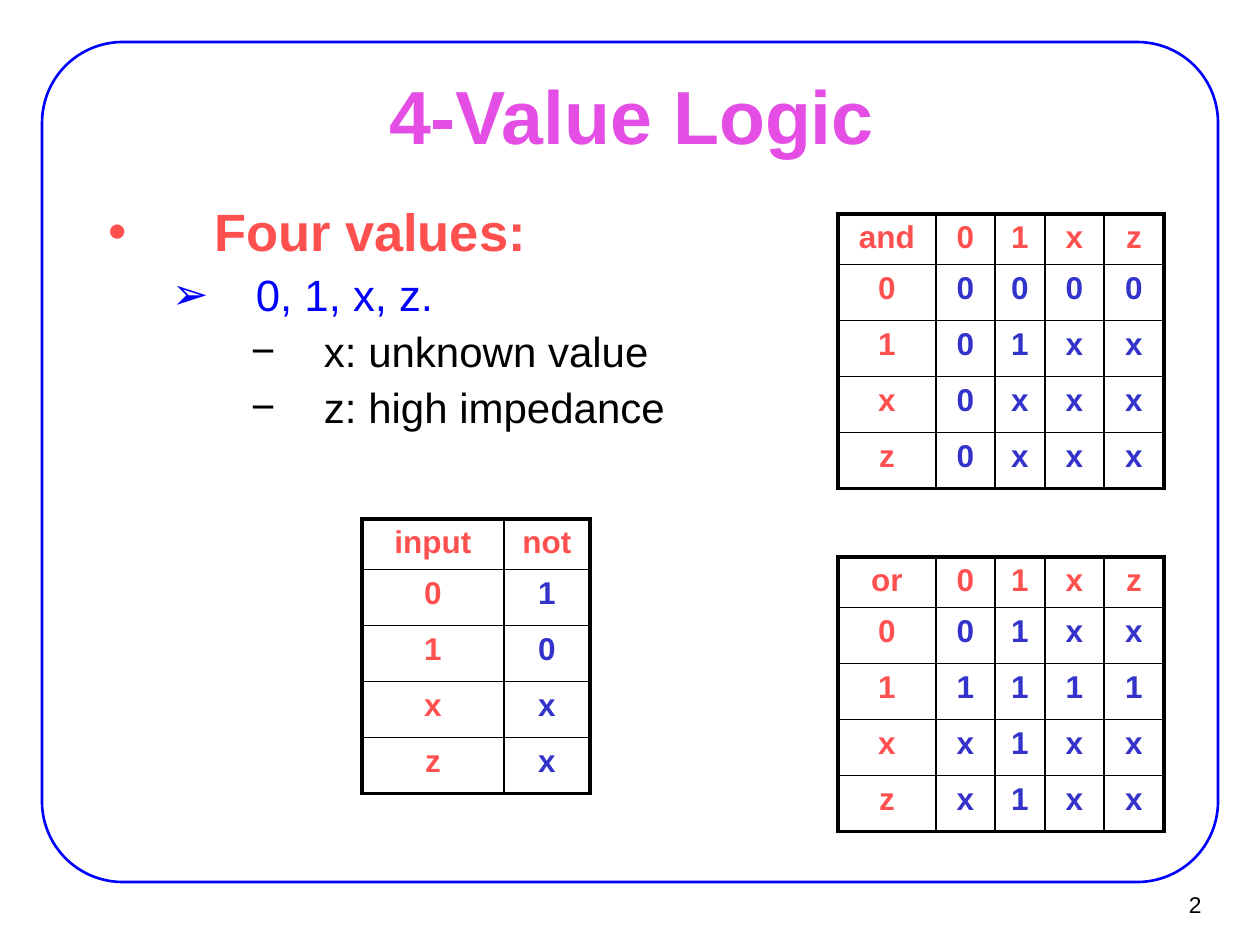
from lxml import etree
from pptx import Presentation
from pptx import util as u
from pptx.dml.color import RGBColor
from pptx.enum import shapes, text
from pptx.oxml.ns import qn

EMU_PER_PX = 914400 / 126
RED, BLUE, INDIGO, PINK, BLACK = "FF5050", "0000FF", "3333CC", "E44EE4", "000000"
HEADER_HEIGHT, ROW_HEIGHT = 48, 56
GATE_COLUMNS = [98, 59, 50, 59, 60]


def px(length):
    return u.Emu(round(length * EMU_PER_PX))


def color(hex_value):
    return RGBColor.from_string(hex_value)


def set_all(target, values):
    for name, value in values.items():
        setattr(target, name, value)


class SlideBuilder:
    font_name = "Arial"
    thin, thick = 1, 2.25

    def __init__(self, slide):
        self.slide = slide

    def place(self, shape, left, top, width, height):
        set_all(shape, {"left": px(left), "top": px(top),
                        "width": px(width), "height": px(height)})

    def add_text(self, paragraph, content, size, hex_value, bold=False, **layout):
        run = paragraph.add_run()
        run.text = content
        set_all(run.font, {"name": self.font_name, "size": u.Pt(size), "bold": bold})
        run.font.color.rgb = color(hex_value)
        set_all(paragraph, layout)

    def frame(self, left, top, width, height):
        """Rounded outline behind everything else."""
        shape = self.slide.shapes.add_shape(
            shapes.MSO_SHAPE.ROUNDED_RECTANGLE, *map(px, (left, top, width, height)))
        shape.adjustments[0] = 0.096
        shape.shadow.inherit = False
        shape.fill.background()
        shape.line.color.rgb = color(BLUE)
        shape.line.width = u.Pt(1.5)
        self.slide.shapes._spTree.insert(2, shape._element)

    def prepare_text(self, shape, box, anchor):
        self.place(shape, *box)
        set_all(shape.text_frame, {
            "auto_size": text.MSO_AUTO_SIZE.NONE, "word_wrap": True,
            "vertical_anchor": anchor,
            "margin_left": px(14), "margin_right": px(14),
            "margin_top": px(7), "margin_bottom": px(7)})
        return shape.text_frame

    def title(self, content, *box):
        frame = self.prepare_text(self.slide.shapes.title, box, text.MSO_ANCHOR.MIDDLE)
        self.add_text(frame.paragraphs[0], content, 43, PINK, True,
                      alignment=text.PP_ALIGN.CENTER)

    def body(self, items, levels, *box):
        """Fill the body with (level, text) items styled by their level."""
        frame = self.prepare_text(self.slide.placeholders[1], box, text.MSO_ANCHOR.TOP)
        for index, (level, content) in enumerate(items):
            paragraph = frame.add_paragraph() if index else frame.paragraphs[0]
            style = levels[level]
            self.add_text(paragraph, content, style["size"], style["color"], style["bold"],
                          level=level, line_spacing=0.9, space_before=u.Pt(6))
            properties = paragraph._p.get_or_add_pPr()
            properties.set("marL", str(px(style["margin"])))
            properties.set("indent", str(-px(style["hanging"])))
            etree.SubElement(properties, qn("a:buFont"), typeface=self.font_name)
            etree.SubElement(properties, qn("a:buChar"), char=style["bullet"])

    def page_number(self, content, *box):
        shape = self.slide.shapes.add_textbox(*map(px, box))
        set_all(shape.text_frame, {"word_wrap": False,
                                   "vertical_anchor": text.MSO_ANCHOR.MIDDLE})
        self.add_text(shape.text_frame.paragraphs[0], content, 13, BLACK,
                      alignment=text.PP_ALIGN.RIGHT)

    def border(self, cell, side, width):
        line = etree.SubElement(cell._tc.get_or_add_tcPr(), qn(f"a:ln{side}"),
                                w=str(u.Pt(width)))
        fill = etree.SubElement(line, qn("a:solidFill"))
        etree.SubElement(fill, qn("a:srgbClr"), val=BLACK)

    def truth_table(self, left, top, widths, rows):
        """Table with a thick outer border, red headings and indigo results."""
        heights = [HEADER_HEIGHT] + [ROW_HEIGHT] * (len(rows) - 1)
        table = self.slide.shapes.add_table(
            len(rows), len(widths), px(left), px(top),
            px(sum(widths)), px(sum(heights))).table
        set_all(table, {"first_row": False, "horz_banding": False})
        for column, width in zip(table.columns, widths):
            column.width = px(width)
        for row, height in zip(table.rows, heights):
            row.height = px(height)
        last_row, last_column = len(rows) - 1, len(widths) - 1
        for r, values in enumerate(rows):
            for c, value in enumerate(values.split()):
                cell = table.cell(r, c)
                outer = {"L": c == 0, "R": c == last_column,
                         "T": r == 0, "B": r == last_row}
                for side, is_outer in outer.items():
                    self.border(cell, side, self.thick if is_outer else self.thin)
                cell.fill.background()
                self.add_text(cell.text_frame.paragraphs[0], value, 18,
                              INDIGO if r and c else RED, True,
                              alignment=text.PP_ALIGN.CENTER)


def main():
    presentation = Presentation()
    set_all(presentation, {"slide_width": px(1260), "slide_height": px(945)})
    builder = SlideBuilder(presentation.slides.add_slide(presentation.slide_layouts[1]))

    builder.frame(42, 42, 1176, 840)
    builder.page_number("2", 1137, 881, 77, 46)
    builder.title("4-Value Logic", 96, 83, 1071, 62)

    levels = [
        dict(size=30, color=RED, bold=True, margin=105, hanging=105, bullet="•"),
        dict(size=25, color=BLUE, bold=False, margin=147, hanging=84, bullet="➢"),
        dict(size=24, color=BLACK, bold=False, margin=215, hanging=73, bullet="−"),
    ]
    builder.body([(0, "Four values:"), (1, "0, 1, x, z."),
                  (2, "x: unknown value"), (2, "z: high impedance")],
                 levels, 95, 199, 635, 312)

    builder.truth_table(838, 214, GATE_COLUMNS, [
        "and 0 1 x z", "0 0 0 0 0", "1 0 1 x x", "x 0 x x x", "z 0 x x x"])
    builder.truth_table(838, 557, GATE_COLUMNS, [
        "or 0 1 x z", "0 0 1 x x", "1 1 1 1 1", "x x 1 x x", "z x 1 x x"])
    builder.truth_table(362, 519, [142, 86], [
        "input not", "0 1", "1 0", "x x", "z x"])

    presentation.save("out.pptx")


if __name__ == "__main__":
    main()
